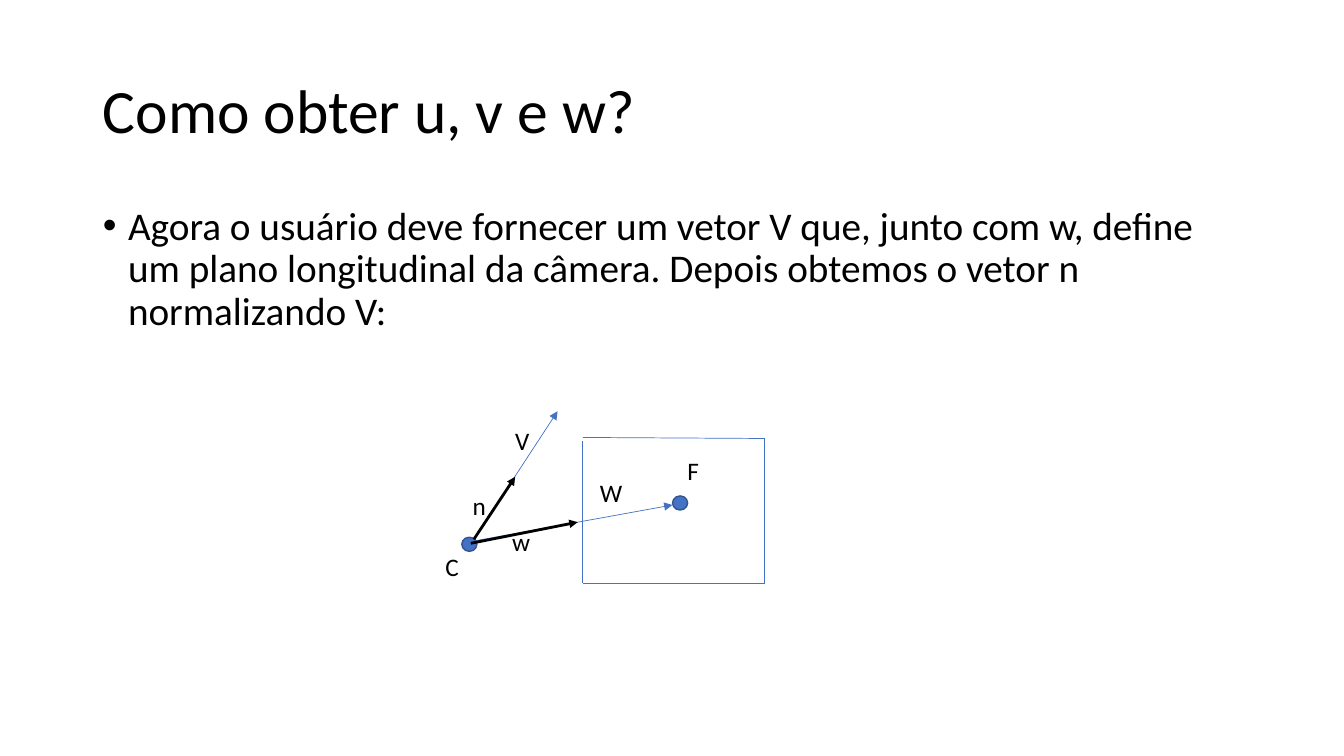
import pptx
import pptx.util
import pptx.dml.color
import pptx.enum.shapes
import pptx.enum.text
import pptx.oxml.ns
from lxml import etree

COLORS = {"text": "000000", "blue": "4472C4", "outline": "325491"}
FONT = "Calibri"
PX = 9144  # 100 px to the inch


def rgb(name):
    return pptx.dml.color.RGBColor.from_string(COLORS[name])


def add_xml(parent, tag, **attributes):
    return etree.SubElement(parent, pptx.oxml.ns.qn(tag), attributes)


class VectorSlide:
    def __init__(self, width, height):
        self.deck = pptx.Presentation()
        self.deck.slide_width = width * PX
        self.deck.slide_height = height * PX
        self.slide = self.deck.slides.add_slide(self.deck.slide_layouts[1])

    def add_text(self, frame, text, size):
        paragraph = frame.paragraphs[0]
        paragraph.alignment = pptx.enum.text.PP_ALIGN.LEFT
        run = paragraph.add_run()
        run.text = text
        run.font.name = FONT
        run.font.size = pptx.util.Pt(size)
        run.font.color.rgb = rgb("text")
        return paragraph

    def placeholder(self, index, box, text, size, anchor):
        holder = self.slide.placeholders[index]
        holder.left, holder.top, holder.width, holder.height = [v * PX for v in box]
        frame = holder.text_frame
        frame.auto_size = pptx.enum.text.MSO_AUTO_SIZE.NONE
        frame.vertical_anchor = anchor
        paragraph = self.add_text(frame, text, size)
        paragraph.line_spacing = 0.9
        return paragraph

    def bullet(self, paragraph, indent, space_before):
        paragraph.space_before = pptx.util.Pt(space_before)
        properties = paragraph._p.get_or_add_pPr()
        properties.set("marL", str(indent * PX))
        properties.set("indent", str(-indent * PX))
        add_xml(properties, "a:buFont", typeface="Arial")
        add_xml(properties, "a:buChar", char="•")

    def label(self, left, top, width, text, wrap=True):
        box = self.slide.shapes.add_textbox(left * PX, top * PX, width * PX, 40 * PX)
        box.text_frame.word_wrap = wrap
        box.text_frame.auto_size = pptx.enum.text.MSO_AUTO_SIZE.SHAPE_TO_FIT_TEXT
        self.add_text(box.text_frame, text, 18)

    def point(self, left, top):
        dot = self.slide.shapes.add_shape(
            pptx.enum.shapes.MSO_SHAPE.OVAL, left * PX, top * PX, 15 * PX, 14 * PX)
        dot.shadow.inherit = False
        dot.fill.solid()
        dot.fill.fore_color.rgb = rgb("blue")
        dot.line.color.rgb = rgb("outline")
        dot.line.width = pptx.util.Pt(1)

    def line(self, start, end, color="blue", weight=0.5, arrow=False):
        connector = self.slide.shapes.add_connector(
            pptx.enum.shapes.MSO_CONNECTOR.STRAIGHT, *[v * PX for v in start + end])
        connector.line.color.rgb = rgb(color)
        connector.line.width = pptx.util.Pt(weight)
        if arrow:
            add_xml(connector.line._get_or_add_ln(), "a:tailEnd", type="triangle")
        add_xml(connector._element.spPr, "a:effectLst")


def main():
    page = VectorSlide(1333, 750)
    anchors = pptx.enum.text.MSO_ANCHOR

    # Title and explanation
    page.placeholder(0, (92, 40, 1150, 145), "Como obter u, v e w?", 44, anchors.MIDDLE)
    explanation = page.placeholder(
        1, (92, 200, 1150, 476),
        "Agora o usuário deve fornecer um vetor V que, junto com w, define um plano "
        "longitudinal da câmera. Depois obtemos o vetor n normalizando V:",
        28, anchors.TOP)
    page.bullet(explanation, 25, 10)

    # Camera C and the vector W towards the focus F
    page.point(458, 533)
    page.line((463, 538), (667, 501), arrow=True)

    # Image plane
    for start, end in [((578, 438), (578, 578)), ((578, 434), (758, 435)),
                       ((758, 435), (758, 579)), ((758, 579), (578, 579))]:
        page.line(start, end)
    page.point(667, 492)

    # Unit vector w, vector V and its unit vector n
    page.line((467, 539), (573, 518), "text", 2, arrow=True)
    page.line((470, 535), (553, 408), arrow=True)
    page.line((470, 535), (511, 473), "text", 2, arrow=True)

    # Labels
    page.label(432, 542, 34, "C", wrap=False)
    page.label(672, 447, 50, "F")
    for left, top, vector in [(585, 469, "W"), (498, 517, "w"),
                              (501, 417, "V"), (459, 482, "n")]:
        page.label(left, top, 39, vector)

    page.deck.save("out.pptx")


if __name__ == "__main__":
    main()
